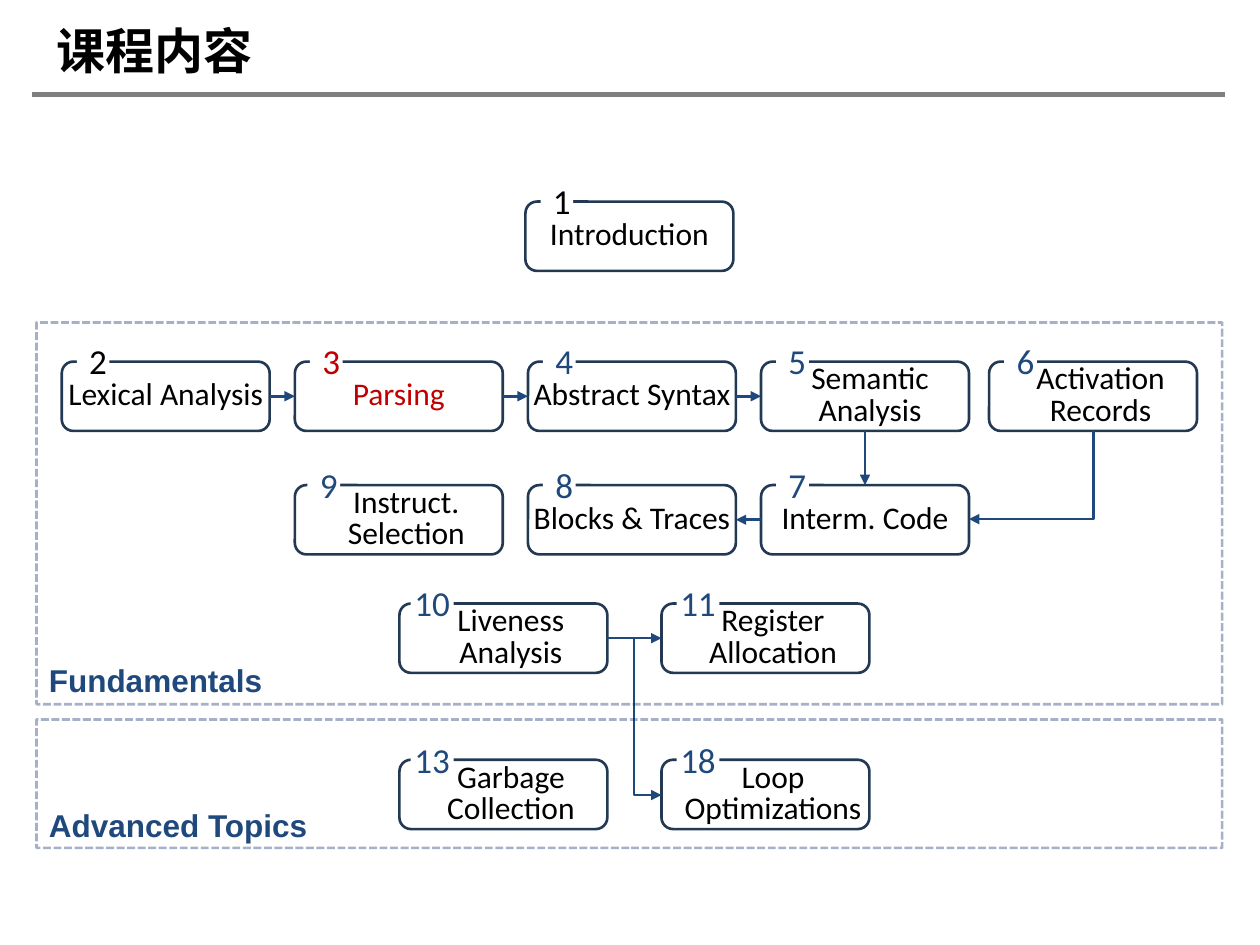
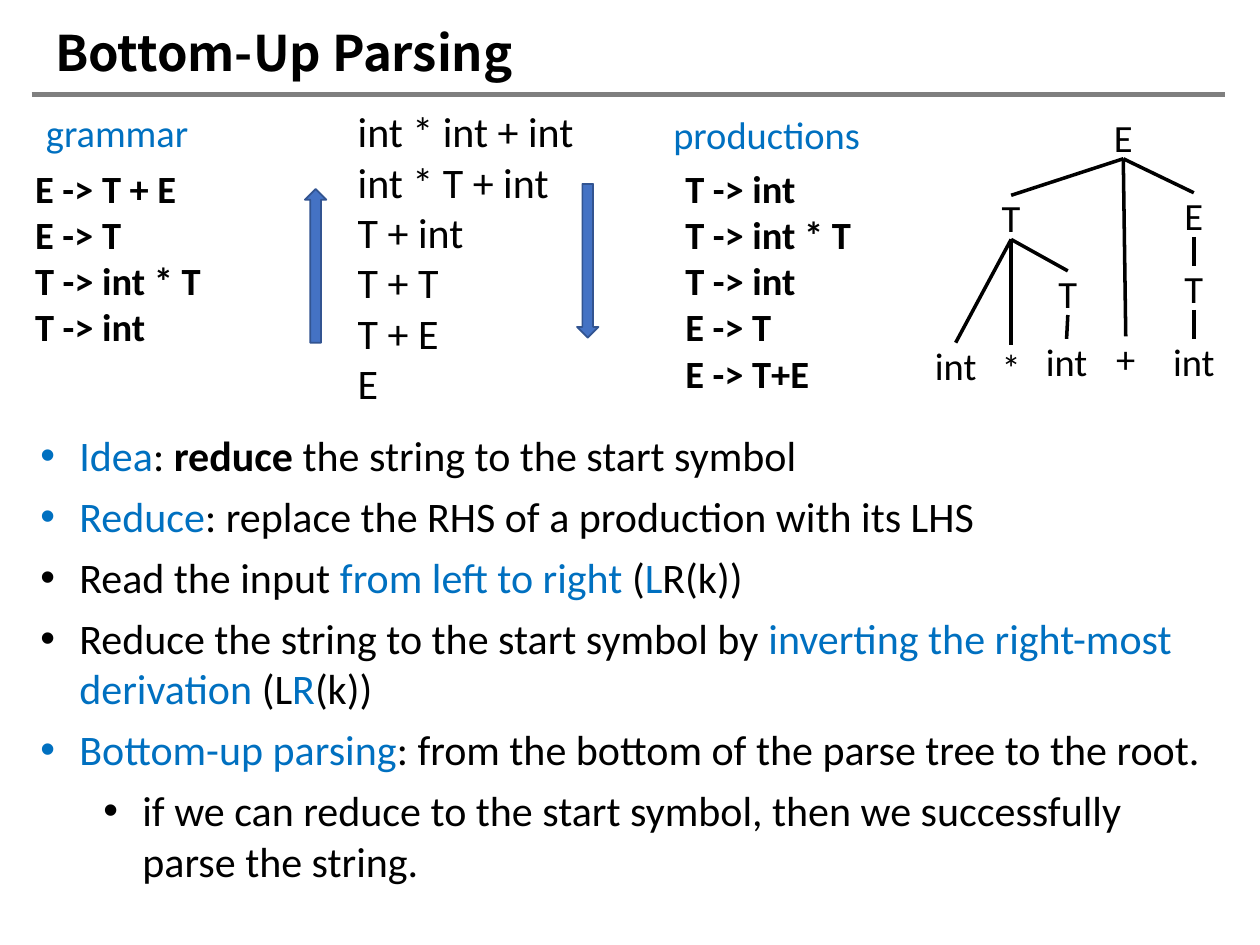
import dataclasses
import typing

import lxml.etree
import pptx
import pptx.dml.color
import pptx.enum.dml
import pptx.enum.shapes
import pptx.enum.text
import pptx.oxml.ns
import pptx.util

# Shared scale, colours and fonts
EMU_PER_PX = 9144  # 100 px to the inch
BLACK, WHITE, GRAY = "000000", "FFFFFF", "7F7F7F"
RED, NAVY, BOX_LINE, FRAME = "C00000", "1F497D", "233953", "002060"
BLUE, ARROW_FILL, ARROW_LINE = "0070C0", "4472C4", "325491"
BODY_FONT, LABEL_FONT, TITLE_FONT = "Calibri", "Arial", "Noto Sans CJK SC"

SHAPE = pptx.enum.shapes.MSO_SHAPE
CONNECTOR = pptx.enum.shapes.MSO_CONNECTOR
ALIGN = pptx.enum.text.PP_ALIGN
ANCHOR = pptx.enum.text.MSO_ANCHOR
TOP, LEFT, BOTTOM, RIGHT = range(4)  # connection sites of a rectangle


class Box(typing.NamedTuple):
    left: int
    top: int
    width: int
    height: int


@dataclasses.dataclass(frozen=True)
class Chapter:
    number: int
    name: str
    left: int
    top: int
    indent: int = 0
    badge_offset: int = 12
    name_color: str = BLACK
    number_color: str = NAVY


@dataclasses.dataclass(frozen=True)
class TreeNode:
    symbol: str
    left: int
    top: int
    parent: int | None = None


class Span(typing.NamedTuple):
    text: str
    color: str = BLACK
    bold: bool = False


CHAPTER_SIZE = (165, 55)
COLUMNS = [49 + 185 * i for i in range(4)] + [785]
ROWS = [287, 385, 479, 603]
PAIR = (317, 525)  # columns of the two lower rows

CHAPTERS = [
    Chapter(1, "Introduction", 417, 160, number_color=BLACK),
    Chapter(2, "Lexical Analysis", COLUMNS[0], ROWS[0], number_color=BLACK),
    Chapter(3, "Parsing", COLUMNS[1], ROWS[0], name_color=RED, number_color=RED),
    Chapter(4, "Abstract Syntax", COLUMNS[2], ROWS[0]),
    Chapter(5, "Semantic Analysis", COLUMNS[3], ROWS[0], indent=8),
    Chapter(6, "Activation Records", COLUMNS[4], ROWS[0], indent=12),
    Chapter(7, "Interm. Code", COLUMNS[3], ROWS[1]),
    Chapter(8, "Blocks & Traces", COLUMNS[2], ROWS[1]),
    Chapter(9, "Instruct. Selection", COLUMNS[1], ROWS[1], indent=12, badge_offset=10),
    Chapter(10, "Liveness Analysis", PAIR[0], ROWS[2], indent=12, badge_offset=9),
    Chapter(11, "Register Allocation", PAIR[1], ROWS[2], indent=12),
    Chapter(13, "Garbage Collection", PAIR[0], ROWS[3], indent=12, badge_offset=9),
    Chapter(18, "Loop Optimizations", PAIR[1], ROWS[3], indent=12),
]
# From chapter, its side, to chapter, its side
CHAPTER_LINKS = [
    (2, RIGHT, 3, LEFT), (3, RIGHT, 4, LEFT), (4, RIGHT, 5, LEFT),
    (5, BOTTOM, 7, TOP), (7, LEFT, 8, RIGHT), (10, RIGHT, 11, LEFT),
]
TREE = [
    TreeNode("E", 861, 91),
    TreeNode("T", 772, 155, 0),
    TreeNode("E", 917, 153, 0),
    TreeNode("T", 917, 211, 2),
    TreeNode("int", 917, 269, 3),
    TreeNode("int", 728, 272, 1),
    TreeNode("T", 817, 215, 1),
    TreeNode("int", 816, 269, 6),
    TreeNode("*", 772, 274, 1),
    TreeNode("+", 863, 267, 0),
]
BULLETS = [
    (0, [Span("Idea", BLUE), Span(": "), Span("reduce ", bold=True),
         Span("the string to the start symbol")]),
    (0, [Span("Reduce", BLUE), Span(": replace the RHS of a production with its LHS")]),
    (0, [Span("Read the input "), Span("from left to right ", BLUE), Span("("),
         Span("L", BLUE), Span("R(k))")]),
    (0, [Span("Reduce the string to the start symbol by "),
         Span("inverting the right-most derivation ", BLUE),
         Span("(L"), Span("R", BLUE), Span("(k))")]),
    (0, [Span("Bottom-up parsing", BLUE),
         Span(": from the bottom of the parse tree to the root.")]),
    (1, [Span("if we can reduce to the start symbol, then we successfully "
              "parse the string.")]),
]


# Helpers
def px(length: float) -> int:
    return pptx.util.Emu(round(length * EMU_PER_PX))


def emu(*lengths: float) -> list[int]:
    return [px(length) for length in lengths]


def rgb(color: str):
    return pptx.dml.color.RGBColor.from_string(color)


def add_xml(parent, tag: str, **attributes: str):
    return lxml.etree.SubElement(parent, pptx.oxml.ns.qn(tag), attributes)


def add_run(paragraph, text: str, *, size=18, font=BODY_FONT, color=BLACK, bold=False):
    run = paragraph.add_run()
    run.text = text
    run.font.size = pptx.util.Pt(size)
    run.font.name = font
    run.font.bold = bold
    run.font.color.rgb = rgb(color)
    add_xml(run.font._element, "a:ea", typeface=font)
    return run


def set_frame(shape, insets=(10, 5, 10, 5), anchor=ANCHOR.TOP):
    frame = shape.text_frame
    frame.word_wrap = True
    frame.auto_size = pptx.enum.text.MSO_AUTO_SIZE.NONE
    frame.vertical_anchor = anchor
    (frame.margin_left, frame.margin_top,
     frame.margin_right, frame.margin_bottom) = emu(*insets)
    return frame


def write_text(shape, text: str, *, align=ALIGN.LEFT, anchor=ANCHOR.TOP,
               insets=(10, 5, 10, 5), line_points=None, before=0, **run_format):
    frame = set_frame(shape, insets, anchor)
    for i, line in enumerate(text.split("\n")):
        paragraph = frame.add_paragraph() if i else frame.paragraphs[0]
        paragraph.alignment = align
        paragraph.space_before = pptx.util.Pt(before)
        if line_points:
            paragraph.line_spacing = pptx.util.Pt(line_points)
        add_run(paragraph, line, **run_format)


def add_text(slide, box: Box, text: str, **text_format):
    write_text(slide.shapes.add_textbox(*emu(*box)), text, **text_format)


def add_box(slide, kind, box: Box, fill: str | None = None,
            line: str | None = None, width: float = 1.5):
    shape = slide.shapes.add_shape(kind, *emu(*box))
    shape.shadow.inherit = False
    if fill:
        shape.fill.solid()
        shape.fill.fore_color.rgb = rgb(fill)
    else:
        shape.fill.background()
    if line:
        shape.line.color.rgb = rgb(line)
        shape.line.width = pptx.util.Pt(width)
    else:
        shape.line.fill.background()
    return shape


def style_connector(connector, color: str, width: float, arrow: bool = False):
    connector.line.color.rgb = rgb(color)
    connector.line.width = pptx.util.Pt(width)
    properties = connector._element.spPr
    if arrow:
        add_xml(properties.find(pptx.oxml.ns.qn("a:ln")), "a:tailEnd", type="triangle")
    add_xml(properties, "a:effectLst")


def join(slide, start, start_site: int, end, end_site: int, color: str,
         width: float, arrow: bool = False):
    connector = slide.shapes.add_connector(CONNECTOR.STRAIGHT, 0, 0, 0, 0)
    connector.begin_connect(start, start_site)
    connector.end_connect(end, end_site)
    style_connector(connector, color, width, arrow)


def add_elbow(slide, x1: int, y1: int, x2: int, y2: int):
    """Arrow that runs down first and then sideways."""
    connector = slide.shapes.add_connector(CONNECTOR.ELBOW, *emu(x1, y1, x2, y2))
    run, drop = abs(x2 - x1), y2 - y1
    properties = connector._element.spPr
    properties.find(pptx.oxml.ns.qn("a:prstGeom")).set("prst", "bentConnector2")
    transform = properties.find(pptx.oxml.ns.qn("a:xfrm"))
    transform.set("rot", "5400000" if x2 < x1 else "16200000")
    transform.set("flipH", "0" if x2 < x1 else "1")
    connector.left = px((x1 + x2 - drop) / 2)
    connector.top = px((y1 + y2 - run) / 2)
    connector.width, connector.height = emu(drop, run)
    style_connector(connector, NAVY, 1.5, arrow=True)


def start_slide(presentation, layout: int, title: str, title_box: Box):
    slide = presentation.slides.add_slide(presentation.slide_layouts[layout])
    rule = slide.shapes.add_connector(CONNECTOR.STRAIGHT, *emu(25, 75, 972, 75))
    style_connector(rule, GRAY, 3)
    shape = slide.shapes.title
    shape.left, shape.top, shape.width, shape.height = emu(*title_box)
    write_text(shape, title, insets=(1, 1, 0, 0), before=1,
               size=28, font=TITLE_FONT, bold=True)
    return slide


# Slide 1: chapter map
def add_chapter(slide, chapter: Chapter):
    box = Box(chapter.left, chapter.top, *CHAPTER_SIZE)
    shape = add_box(slide, SHAPE.ROUNDED_RECTANGLE, box, line=BOX_LINE)
    write_text(shape, chapter.name, align=ALIGN.CENTER, anchor=ANCHOR.MIDDLE,
               insets=(chapter.indent, 0, 0, 0), line_points=18, color=chapter.name_color)
    wide = chapter.number > 9
    badge = add_box(slide, SHAPE.RECTANGLE, Box(chapter.left + chapter.badge_offset,
                    chapter.top - 16, 34 if wide else 26, 31), fill=WHITE)
    side = 0 if wide else 10
    write_text(badge, str(chapter.number), align=ALIGN.CENTER, anchor=ANCHOR.MIDDLE,
               insets=(side, 5, side, 5), size=20, color=chapter.number_color)
    return shape


def add_frame(slide, top: int, height: int, label: str, label_top: int):
    frame = add_box(slide, SHAPE.RECTANGLE, Box(29, top, 941, height), line=FRAME)
    frame.line.dash_style = pptx.enum.dml.MSO_LINE.SQUARE_DOT
    line = frame._element.spPr.find(pptx.oxml.ns.qn("a:ln"))
    add_xml(line.find(".//" + pptx.oxml.ns.qn("a:srgbClr")), "a:alpha", val="35000")
    add_text(slide, Box(29, label_top, 500, 40), label,
             font=LABEL_FONT, color=NAVY, bold=True)


def build_contents(presentation):
    slide = start_slide(presentation, 5, "课程内容", Box(44, 15, 158, 49))
    boxes = {chapter.number: add_chapter(slide, chapter) for chapter in CHAPTERS}
    for start, start_site, end, end_site in CHAPTER_LINKS:
        join(slide, boxes[start], start_site, boxes[end], end_site, NAVY, 1.5, arrow=True)
    add_elbow(slide, 868, 342, 769, 412)
    add_elbow(slide, 503, 507, 525, 631)
    add_frame(slide, 256, 303, "Fundamentals", 520)
    add_frame(slide, 571, 102, "Advanced Topics", 635)


# Slide 2: bottom-up parsing
def add_bullets(shape):
    frame = set_frame(shape)
    for i, (level, spans) in enumerate(BULLETS):
        paragraph = frame.add_paragraph() if i else frame.paragraphs[0]
        paragraph.level = level
        paragraph.space_before = pptx.util.Pt(0)
        paragraph.space_after = pptx.util.Pt(6)
        properties = paragraph._element.get_or_add_pPr()
        properties.set("marL", str(px(31 + 50 * level)))
        properties.set("indent", str(px(-31)))
        add_xml(properties, "a:buFont", typeface=LABEL_FONT)
        add_xml(properties, "a:buChar", char="•")
        for span in spans:
            add_run(paragraph, span.text, size=24, color=span.color, bold=span.bold)


def add_tree(slide):
    shapes = []
    for node in TREE:
        shape = add_box(slide, SHAPE.ROUNDED_RECTANGLE, Box(node.left, node.top, 61, 35))
        write_text(shape, node.symbol, align=ALIGN.CENTER, anchor=ANCHOR.MIDDLE, size=22)
        shapes.append(shape)
        if node.parent is not None:
            join(slide, shapes[node.parent], BOTTOM, shape, TOP, BLACK, 2)


def build_parsing(presentation):
    slide = start_slide(presentation, 1, "Bottom-Up Parsing", Box(43, 17, 924, 48))
    add_text(slide, Box(18, 126, 192, 158),
             "E -> T + E\nE -> T\nT -> int * T\nT -> int", size=22, bold=True)
    add_text(slide, Box(274, 79, 198, 252),
             "int * int + int\nint * T + int\nT + int\nT + T\nT + E\nE", size=24)
    add_text(slide, Box(534, 126, 181, 195),
             "T -> int\nT -> int * T\nT -> int\nE -> T\nE -> T+E", size=22, bold=True)
    body = slide.placeholders[1]
    body.left, body.top, body.width, body.height = emu(22, 336, 959, 375)
    add_bullets(body)
    for kind, left, top in ((SHAPE.DOWN_ARROW, 458, 146), (SHAPE.UP_ARROW, 242, 150)):
        add_box(slide, kind, Box(left, top, 17, 122), ARROW_FILL, ARROW_LINE, 1)
    add_tree(slide)
    for label, box in (("grammar", Box(23, 82, 140, 47)),
                       ("productions", Box(522, 83, 173, 47))):
        add_text(slide, box, label, align=ALIGN.CENTER, size=22, color=BLUE)


def main():
    presentation = pptx.Presentation()
    presentation.slide_width, presentation.slide_height = emu(1000, 750)
    build_contents(presentation)
    build_parsing(presentation)
    presentation.save("out.pptx")


if __name__ == "__main__":
    main()
